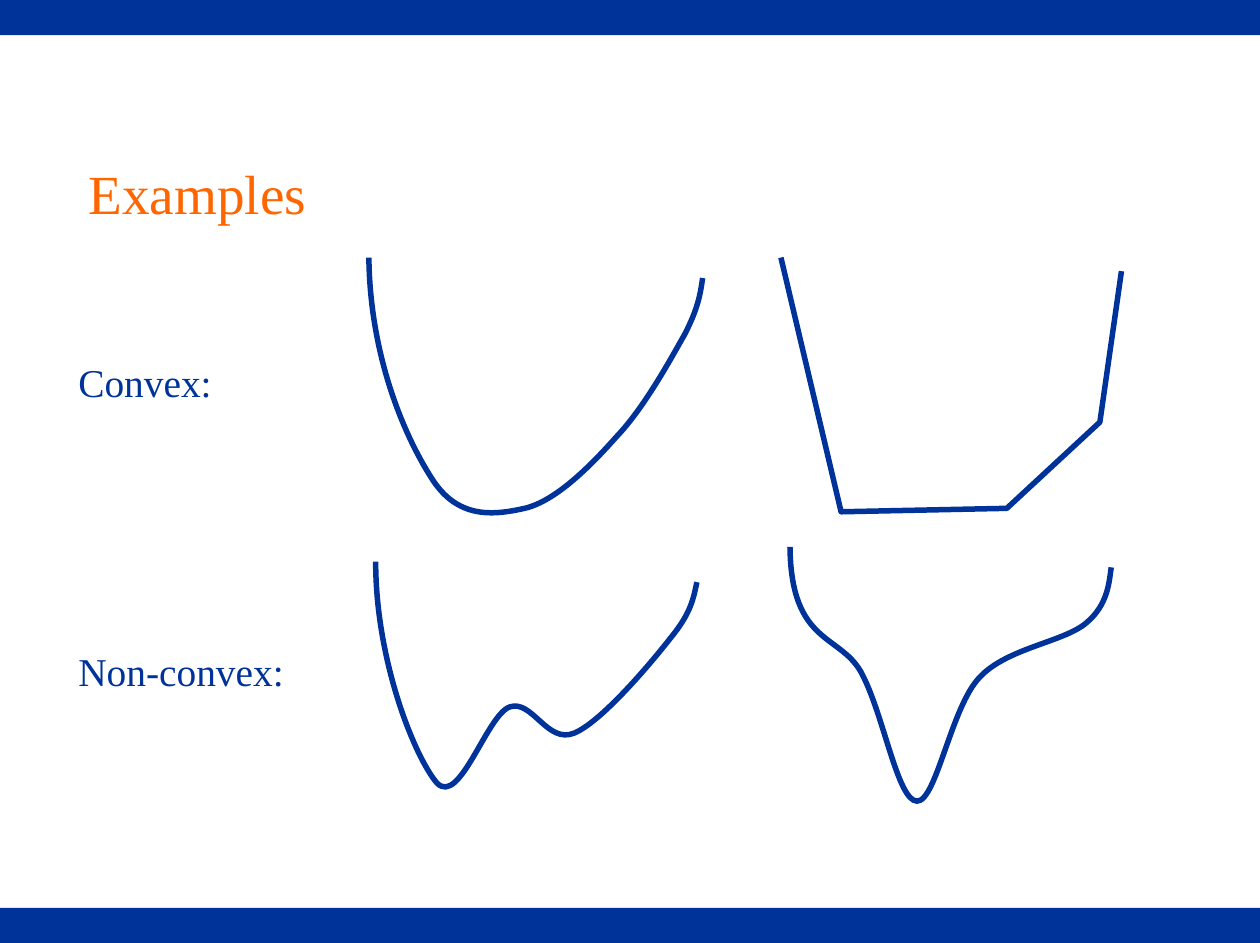
from lxml import etree
from pptx import Presentation
from pptx import util as u
from pptx.dml.color import RGBColor
from pptx.enum import shapes, text
from pptx.oxml.ns import qn

WIDE, HIGH, BAR = 11.1, 8.31, 0.31
FONT = "Times New Roman"
COLORS = {"blue": "003399", "orange": "FF6600"}
TITLE = ("Examples", (0.67, 1, 7.91, 1.39))
CONVEX = ("Convex:", (0.58, 3.1, 1.6, 0.59))
OTHER = ("Non-convex:", (0.58, 5.64, 2.12, 0.59))
CURVES = [
    [(3.25, 2.27), (3.26, 3.15), (3.57, 3.85), (3.8, 4.21),
     (4.03, 4.58), (4.35, 4.54), (4.62, 4.48),
     (4.89, 4.42), (5.2, 4.11), (5.43, 3.85),
     (5.67, 3.6), (5.9, 3.18), (6.03, 2.95),
     (6.15, 2.72), (6.17, 2.59), (6.19, 2.45)],
    [(6.96, 4.82), (6.97, 5.7), (7.42, 5.58), (7.6, 5.95),
     (7.79, 6.32), (7.91, 7.06), (8.08, 7.06),
     (8.25, 7.06), (8.38, 6.23), (8.63, 5.97),
     (8.87, 5.71), (9.37, 5.66), (9.57, 5.49),
     (9.76, 5.33), (9.77, 5.14), (9.79, 5)],
    [(3.31, 4.95), (3.31, 5.83), (3.66, 6.68), (3.85, 6.9),
     (4.05, 7.11), (4.29, 6.3), (4.49, 6.23),
     (4.69, 6.16), (4.82, 6.56), (5.06, 6.46),
     (5.3, 6.36), (5.73, 5.85), (5.91, 5.62),
     (6.09, 5.4), (6.11, 5.27), (6.14, 5.13)],
]
KINKED = [(6.88, 2.27), (7.41, 4.51), (8.87, 4.48), (9.69, 3.72), (9.88, 2.39)]


def color(name):
    return RGBColor.from_string(COLORS[name])


def draw(slide, points):
    points = [(u.Inches(x), u.Inches(y)) for x, y in points]
    pen = slide.shapes.build_freeform(*points[0])
    pen.add_line_segments(points[1:], close=False)
    graph = pen.convert_to_shape()
    graph.shadow.inherit = False
    graph.fill.background()
    graph.line.color.rgb = color("blue")
    graph.line.width = u.Pt(3.5)
    return graph


def bend(graph, knots):
    lines = list(graph._element.iter(qn("a:lnTo")))
    for i, line in enumerate(lines):
        line.tag = qn("a:cubicBezTo")
        for spot, (x, y) in enumerate(knots[3 * i + 1:3 * i + 3]):
            point = etree.Element(qn("a:pt"))
            point.set("x", str(u.Inches(x) - graph.left))
            point.set("y", str(u.Inches(y) - graph.top))
            line.insert(spot, point)


def write(holder, words, box, size, tint, anchor):
    holder.left, holder.top, holder.width, holder.height = map(u.Inches, box)
    frame = holder.text_frame
    frame.text = words
    frame.word_wrap = True
    frame.auto_size = text.MSO_AUTO_SIZE.NONE
    frame.vertical_anchor = anchor
    frame.margin_left = frame.margin_right = u.Inches(0.11)
    frame.margin_top = frame.margin_bottom = u.Inches(0.06)
    line = frame.paragraphs[0]
    line.alignment = text.PP_ALIGN.LEFT
    font = line.runs[0].font
    font.name, font.size = FONT, u.Pt(size)
    font.color.rgb = color(tint)
    return line


def label(holder, words, box):
    line = write(holder, words, box, 25, "blue", text.MSO_ANCHOR.TOP)
    line.space_before = u.Pt(5)
    props = line._p.get_or_add_pPr()
    props.set("marL", "0")
    props.set("indent", "0")
    etree.SubElement(props, qn("a:buNone"))


def main():
    deck = Presentation()
    deck.slide_width, deck.slide_height = u.Inches(WIDE), u.Inches(HIGH)
    slide = deck.slides.add_slide(deck.slide_layouts.get_by_name("Title and Content"))
    title, body = slide.placeholders
    for top in (HIGH - BAR, 0):
        bar = slide.shapes.add_shape(
            shapes.MSO_SHAPE.RECTANGLE, 0, u.Inches(top), u.Inches(WIDE), u.Inches(BAR))
        bar.shadow.inherit = False
        bar.fill.solid()
        bar.fill.fore_color.rgb = color("blue")
        bar.line.fill.background()
    write(title, *TITLE, 35, "orange", text.MSO_ANCHOR.MIDDLE)
    for knots in CURVES:
        bend(draw(slide, knots[::3]), knots)
    draw(slide, KINKED)
    label(body, *CONVEX)
    label(slide.shapes.add_textbox(0, 0, 0, 0), *OTHER)
    deck.save("out.pptx")


if __name__ == "__main__":
    main()
